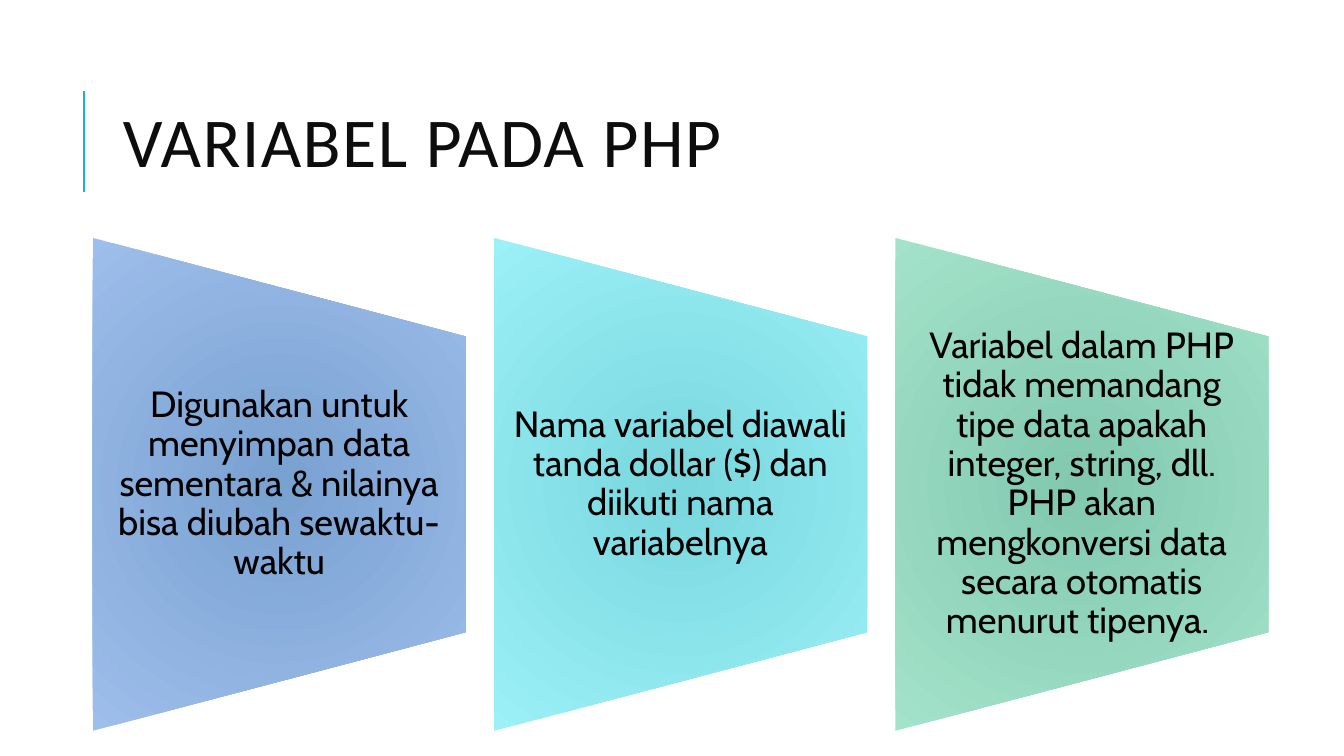
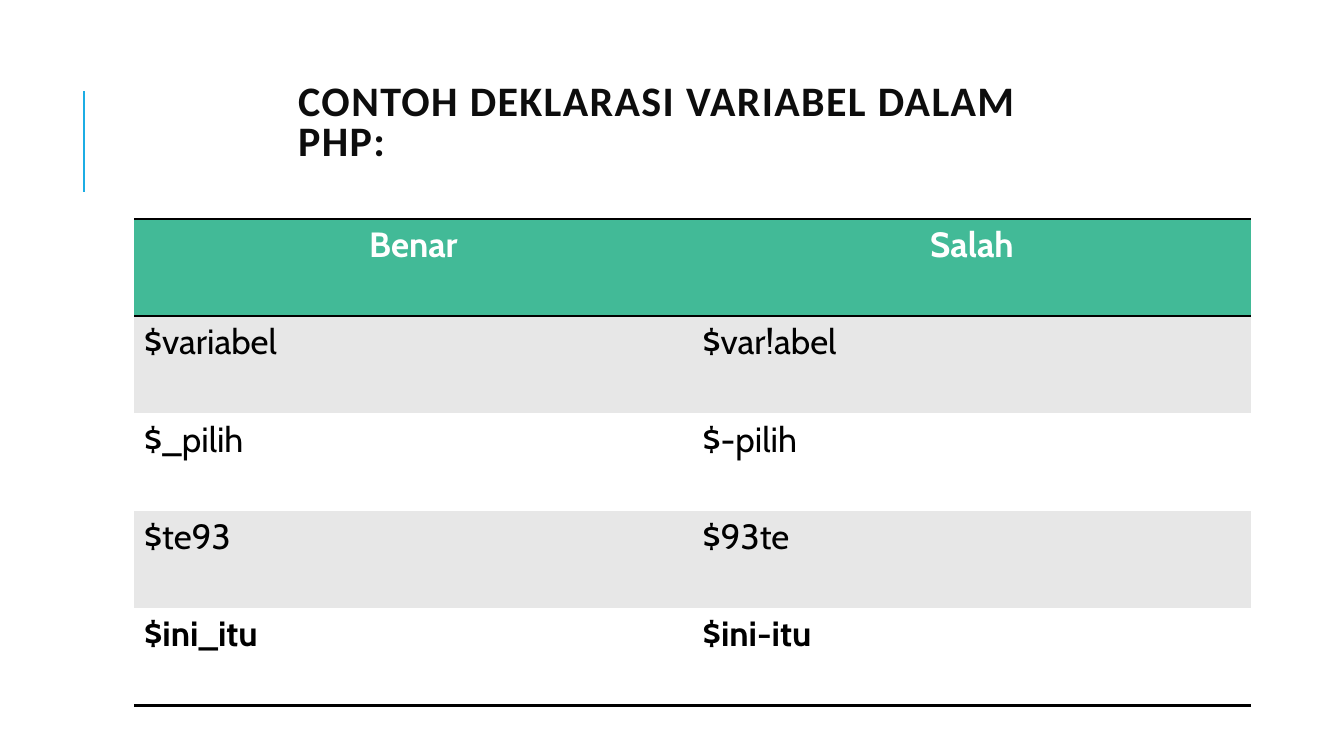
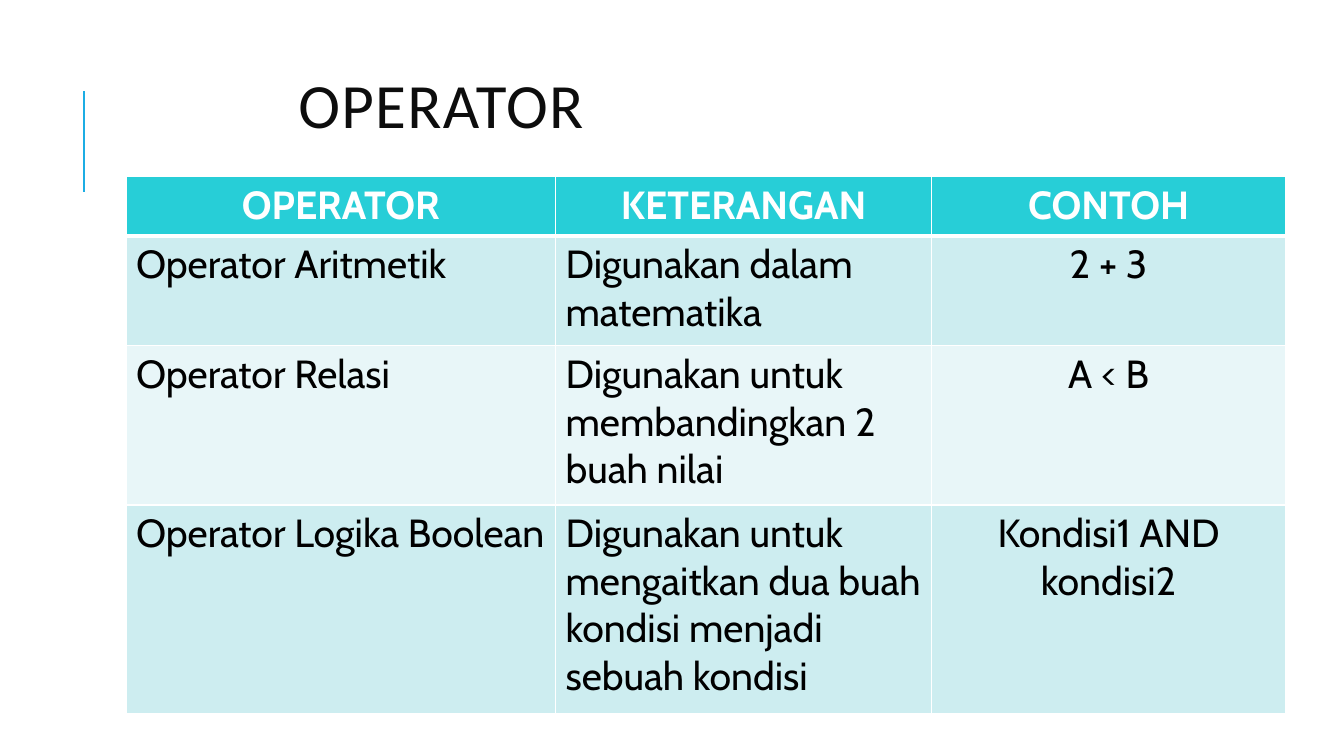
from lxml.etree import SubElement as Sub
from pptx import Presentation
from pptx.dml.color import RGBColor
from pptx.enum.shapes import MSO_CONNECTOR as Conn, MSO_SHAPE as Shape
from pptx.enum.text import MSO_ANCHOR as Anchor, PP_ALIGN as Align
from pptx.oxml import parse_xml
from pptx.oxml.ns import nsdecls, qn
from pptx.util import Inches, Pt

HUES = {
    "accent": "1CADE4", "title": "0D0D0D", "text": "000000", "white": "FFFFFF",
    "green": "42BA97", "gray": "E7E7E7",
    "cyan": "27CED7", "band": "CDEDF0", "pale": "E8F6F8",
}
GLOWS = [("79A1D1", "9EBEEB"), ("79D7DE", "9CF0F7"), ("81C8AF", "A4E3CB")]
HEAD, BODY = "Calibri", "Cabin"


def rgb(name):
    """Return the named colour."""
    return RGBColor.from_string(HUES[name])


def style(para, font, size, hue, bold=False):
    """Format every run of a paragraph."""
    for run in para.runs:
        run.font.name, run.font.size, run.font.bold = font, Pt(size), bold
        run.font.color.rgb = rgb(hue)


def add_text(slide, box, text, lead, pad):
    """Add a wrapped, vertically centred text box and return its paragraph."""
    frame = slide.shapes.add_textbox(*map(Inches, box)).text_frame
    frame.word_wrap, frame.vertical_anchor = True, Anchor.MIDDLE
    frame.margin_left = frame.margin_right = Inches(pad)
    frame.text = text
    para = frame.paragraphs[0]
    para.line_spacing = lead
    return para


def add_page(deck, title, box, size, bold=False):
    """Add a slide with the accent line and its title."""
    slide = deck.slides.add_slide(deck.slide_layouts[6])
    line = slide.shapes.add_connector(
        Conn.STRAIGHT, Inches(0.83), Inches(1.9), Inches(0.83), Inches(0.9))
    line.line.color.rgb, line.line.width = rgb("accent"), Pt(1.5)
    Sub(line._element.spPr, qn("a:effectLst"))
    para = add_text(slide, box, title, 0.8, 0.1)
    style(para, HEAD, size, "title", bold)
    para.runs[0].font._element.set("spc", "100")
    return slide


def add_glow(shape, inner, outer):
    """Fill a shape with a radial gradient."""
    stops = "".join(
        f'<a:gs pos="{pos}"><a:srgbClr val="{hue}"/></a:gs>'
        for pos, hue in ((0, inner), (100000, outer)))
    fill = parse_xml(
        f'<a:gradFill {nsdecls("a")} rotWithShape="1"><a:gsLst>{stops}</a:gsLst>'
        '<a:path path="circle"><a:fillToRect l="100000" t="100000" '
        'r="100000" b="100000"/></a:path></a:gradFill>')
    shape._element.spPr.find(qn("a:prstGeom")).addnext(fill)


def add_panel(slide, box, text, glow):
    """Place a sideways trapezoid with centred text in a box."""
    left, top, wide, high = box
    shift = (high - wide) / 2
    shape = slide.shapes.add_shape(
        Shape.FLOWCHART_MANUAL_OPERATION,
        *map(Inches, (left - shift, top + shift, high, wide)))
    shape.rotation = 270
    shape.shadow.inherit = False
    shape.line.fill.background()
    add_glow(shape, *glow)
    para = add_text(slide, (left, top + high / 5, wide, high * 0.6), text, 0.9, 0.18)
    para.alignment = Align.CENTER
    style(para, BODY, 26, "text")


def add_edge(cell, side, rule):
    """Draw one cell border, or clear it when no rule is given."""
    edge = Sub(cell._tc.get_or_add_tcPr(), qn(f"a:ln{side}"))
    if not rule:
        Sub(edge, qn("a:noFill"))
        return
    hue, width = rule
    edge.set("w", str(Pt(width)))
    Sub(Sub(edge, qn("a:solidFill")), qn("a:srgbClr")).set("val", HUES[hue])


def add_grid(slide, box, cols, rows, data, size, fills, base, rules, mid=(), bold=(0,)):
    """Add a table with a header, two alternating bands and ruled rows."""
    grid = slide.shapes.add_table(len(rows), len(cols), *map(Inches, box)).table
    for col, wide in zip(grid.columns, cols):
        col.width = Inches(wide)
    for r, (high, words) in enumerate(zip(rows, data)):
        grid.rows[r].height = Inches(high)
        for c, word in enumerate(words):
            cell = grid.cell(r, c)
            for side, rule in (("L", base), ("R", base),
                               ("T", rules.get(r, base)), ("B", rules.get(r + 1, base))):
                add_edge(cell, side, rule)
            cell.fill.solid()
            cell.fill.fore_color.rgb = rgb(fills[0] if r == 0 else fills[2 - r % 2])
            cell.text_frame.text = word
            para = cell.text_frame.paragraphs[0]
            para.alignment = Align.CENTER if r == 0 or c in mid else Align.LEFT
            style(para, BODY, size, "text" if r else "white", r in bold)


def add_intro(deck):
    """Build the slide about variables."""
    slide = add_page(deck, "VARIABEL PADA PHP", (1.12, 0.64, 10.63, 1.64), 50)
    texts = [
        "Digunakan untuk menyimpan data sementara & nilainya bisa diubah sewaktu-waktu",
        "Nama variabel diawali tanda dollar ($) dan diikuti nama variabelnya",
        "Variabel dalam PHP tidak memandang tipe data apakah integer, string, dll. "
        "PHP akan mengkonversi data secara otomatis menurut tipenya. ",
    ]
    for i, (text, glow) in enumerate(zip(texts, GLOWS)):
        add_panel(slide, (0.92 + i * 3.98, 2.36, 3.7, 4.89), text, glow)


def add_names(deck):
    """Build the slide comparing right and wrong names."""
    slide = add_page(deck, "CONTOH DEKLARASI VARIABEL DALAM PHP:",
                     (2.86, 0.67, 7.97, 1.13), 30, True)
    data = [
        ("Benar", "Salah"),
        ("$variabel", "$var!abel"),
        ("$_pilih", "$-pilih"),
        ("$te93", "$93te"),
        ("$ini_itu", "$ini-itu"),
    ]
    add_grid(slide, (1.33, 2.17, 11.08, 4.83), [5.54] * 2, [4.83 / 5] * 5, data, 25,
             ("green", "gray", "white"), None,
             {i: ("text", 2) for i in (0, 1, 5)}, bold=(0, 4))


def add_ops(deck):
    """Build the slide listing the operators."""
    slide = add_page(deck, "OPERATOR", (2.86, 0.75, 7.62, 0.69), 45)
    data = [
        ("OPERATOR", "KETERANGAN", "CONTOH"),
        ("Operator Aritmetik", "Digunakan dalam matematika", "2 + 3"),
        ("Operator Relasi", "Digunakan untuk membandingkan 2 buah nilai", "A < B"),
        ("Operator Logika Boolean",
         "Digunakan untuk mengaitkan dua buah kondisi menjadi sebuah kondisi",
         "Kondisi1 AND kondisi2"),
    ]
    add_grid(slide, (1.25, 1.75, 11.5, 5.33), (4.26, 3.73, 3.51),
             (0.59, 1.09, 1.58, 2.07), data, 28, ("cyan", "band", "pale"),
             ("white", 1), {1: ("white", 3)}, mid=(2,))


def main():
    """Build and save the deck."""
    deck = Presentation()
    deck.slide_width, deck.slide_height = Inches(13.33), Inches(7.5)
    for build in (add_intro, add_names, add_ops):
        build(deck)
    deck.save("out.pptx")


if __name__ == "__main__":
    main()
